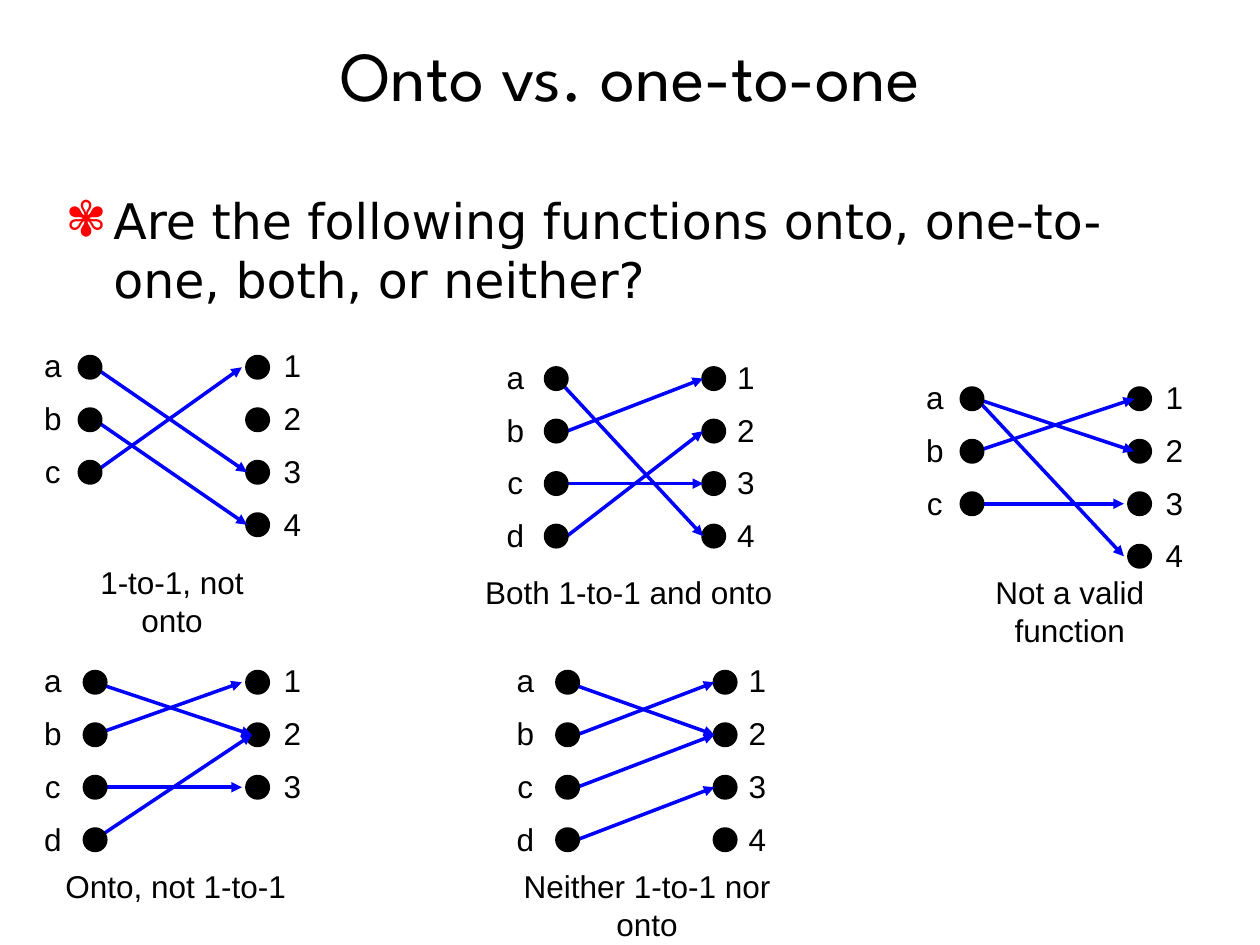
from lxml.etree import SubElement
from pptx import Presentation
from pptx.dml.color import RGBColor
from pptx.enum.shapes import MSO_CONNECTOR, MSO_SHAPE
from pptx.enum.text import MSO_ANCHOR, MSO_AUTO_SIZE, PP_ALIGN
from pptx.oxml.ns import qn
from pptx.util import Inches, Pt

STEP = 1.25 / 3
DOT = 0.17
BLACK, BLUE, RED = "000000", "0000FF", "FF0000"


def color(code):
    return RGBColor.from_string(code)


def add(node, tag, **attrs):
    return SubElement(node, qn(tag), **attrs)


class Deck:
    def __init__(self):
        self.prs = Presentation()
        self.prs.slide_width = Inches(10)
        self.prs.slide_height = Inches(7.5)
        self.slide = self.prs.slides.add_slide(self.prs.slide_layouts[1])
        self.font = "Arial"
        self.size = 18

    def style(self, para, size, font):
        para.font.size = Pt(size)
        para.font.name = font
        para.font.color.rgb = color(BLACK)

    def place(self, shape, left, top, width, height):
        shape.left, shape.top = Inches(left), Inches(top)
        shape.width, shape.height = Inches(width), Inches(height)
        shape.text_frame.auto_size = MSO_AUTO_SIZE.NONE

    def title(self, text):
        shape = self.slide.shapes.title
        self.place(shape, 0.25, 0.17, 9.5, 0.83)
        frame = shape.text_frame
        frame.text = text
        frame.vertical_anchor = MSO_ANCHOR.MIDDLE
        frame.paragraphs[0].alignment = PP_ALIGN.CENTER
        self.style(frame.paragraphs[0], 40, "League Spartan")

    def body(self, text):
        shape = self.slide.placeholders[1]
        self.place(shape, 0.42, 1.41, 9.16, 1.2)
        frame = shape.text_frame
        frame.text = text
        frame.margin_top = Inches(0.1)
        para = frame.paragraphs[0]
        para.space_before = Pt(0)
        props = para._p.get_or_add_pPr()
        props.set("marL", str(Inches(0.38)))
        props.set("indent", str(-Inches(0.38)))
        add(add(props, "a:buClr"), "a:srgbClr", val=RED)
        add(props, "a:buFont", typeface="DejaVu Sans")
        add(props, "a:buChar", char="✾")
        self.style(para, 28, "DejaVu Sans")

    def label(self, home, lines, left, top, width, height, pitch=1.0):
        box = home.shapes.add_textbox(
            Inches(left), Inches(top), Inches(width), Inches(height))
        frame = box.text_frame
        frame.text = "\n".join(lines)
        frame.word_wrap = False
        frame.auto_size = MSO_AUTO_SIZE.SHAPE_TO_FIT_TEXT
        for para in frame.paragraphs:
            para.alignment = PP_ALIGN.CENTER
            para.line_spacing = pitch
            self.style(para, self.size, self.font)

    def names(self, group, text, left, top):
        self.label(group, text, left, top - 0.25, 0.34,
                   0.1 + 0.42 * len(text), 1.4)

    def dots(self, group, count, left, top):
        for row in range(count):
            dot = group.shapes.add_shape(
                MSO_SHAPE.OVAL, Inches(left), Inches(top + row * STEP),
                Inches(DOT), Inches(DOT))
            dot.shadow.inherit = False
            dot.fill.solid()
            dot.fill.fore_color.rgb = color(BLACK)
            dot.line.color.rgb = color(BLACK)
            dot.line.width = Pt(2)

    def arrow(self, group, start, end):
        line = group.shapes.add_connector(
            MSO_CONNECTOR.STRAIGHT, *map(Inches, start + end))
        line.line.color.rgb = color(BLUE)
        line.line.width = Pt(2)
        add(line.line._get_or_add_ln(), "a:tailEnd", type="triangle")
        add(line._element.spPr, "a:effectLst")

    def graph(self, top, cols, left, right, pairs):
        group = self.slide.shapes.add_group_shape()
        name_x, left_x, right_x, digit_x = cols
        self.dots(group, len(right), right_x, top)
        self.names(group, right, digit_x, top)
        self.names(group, left, name_x, top)
        mid = top + DOT / 2
        for pair, x1, x2 in pairs:
            y1 = mid + left.index(pair[0]) * STEP
            y2 = mid + right.index(pair[1]) * STEP
            self.arrow(group, (x1, y1), (x2, y2))
        self.dots(group, len(left), left_x, top)

    def note(self, text, left, top, width):
        self.label(self.slide, [text], left, top, width, 0.4)


def main():
    deck = Deck()
    deck.title("Onto vs. one-to-one")
    deck.body("Are the following functions onto, one-to-one, both, or neither?")

    graphs = [
        (2.83, (0.25, 0.63, 1.96, 2.15), "abc", "1234",
         [("b4", 0.75, 1.96), ("a3", 0.75, 1.96), ("c1", 0.75, 1.92)]),
        (5.33, (0.25, 0.67, 1.96, 2.15), "abcd", "123",
         [("b1", 0.75, 1.92), ("a2", 0.75, 2), ("c3", 0.75, 1.92),
          ("d2", 0.75, 2)]),
        (2.92, (3.92, 4.33, 5.58, 5.75), "abcd", "1234",
         [("c3", 4.5, 5.58), ("a4", 4.42, 5.58), ("d2", 4.5, 5.58),
          ("b1", 4.5, 5.58)]),
        (5.33, (4, 4.42, 5.67, 5.84), "abcd", "1234",
         [("c2", 4.58, 5.67), ("a2", 4.5, 5.67), ("d3", 4.58, 5.67),
          ("b1", 4.58, 5.67)]),
        (3.08, (7.25, 7.63, 8.96, 9.15), "abc", "1234",
         [("b1", 7.75, 9), ("a2", 7.75, 9), ("c3", 7.75, 8.92),
          ("a4", 7.75, 8.92)]),
    ]
    for graph in graphs:
        deck.graph(*graph)

    notes = [
        ("1-to-1, not onto", 0.42, 4.42, 1.89),
        ("Onto, not 1-to-1", 0.42, 6.83, 1.95),
        ("Both 1-to-1 and onto", 3.75, 4.5, 2.48),
        ("Not a valid function", 7.33, 4.5, 2.32),
        ("Neither 1-to-1 nor onto", 3.78, 6.83, 2.71),
    ]
    for note in notes:
        deck.note(*note)
    deck.prs.save("out.pptx")


if __name__ == "__main__":
    main()
